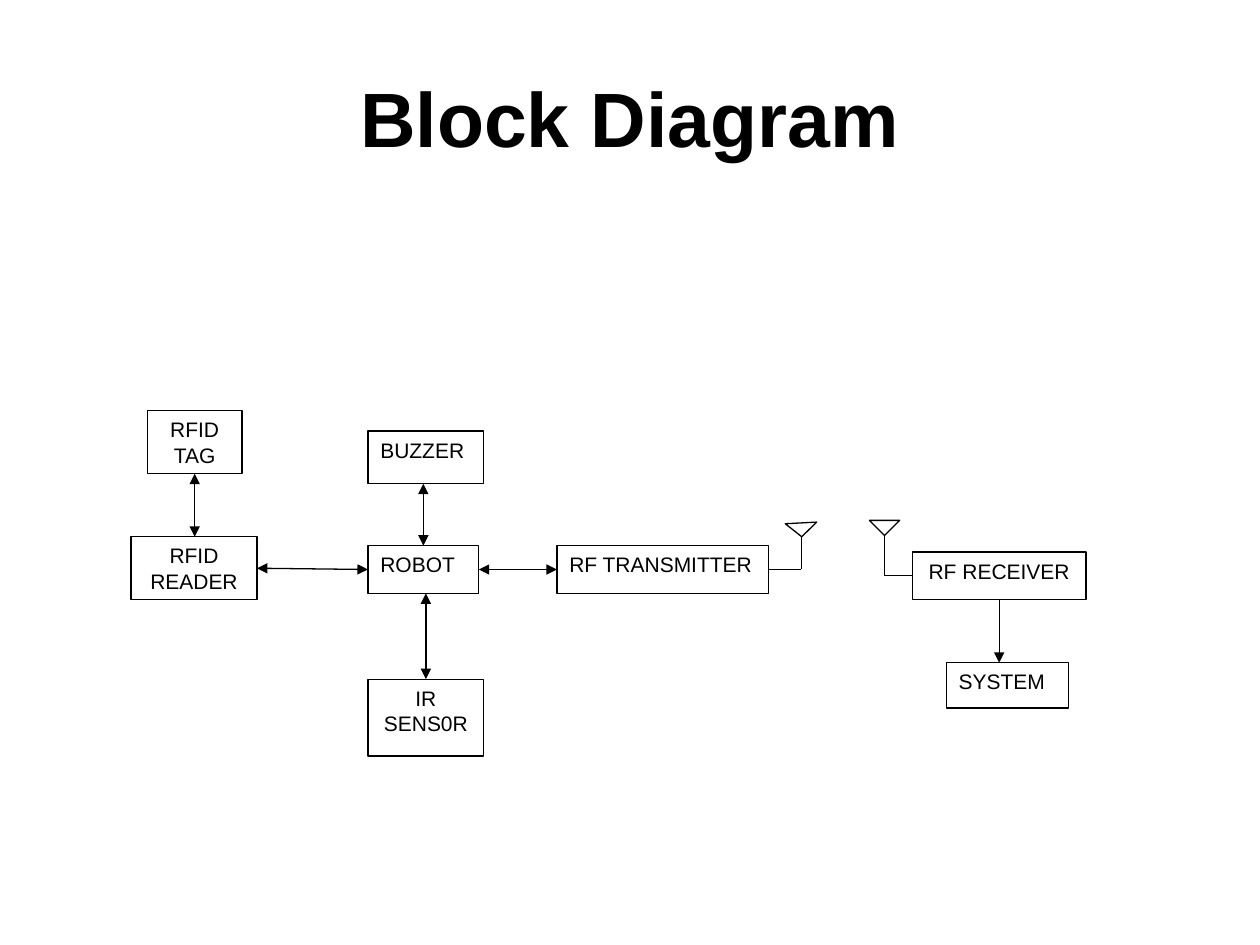
import pptx
import pptx.util
import pptx.dml.color
import pptx.enum.shapes
import pptx.enum.text
import pptx.oxml
import pptx.oxml.ns

COLORS = {"ink": "000000", "paper": "FFFFFF"}
FONT = "Arial"
COLUMNS, ROWS = 100, 75
ALIGN = pptx.enum.text.PP_ALIGN
SHAPE = pptx.enum.shapes.MSO_SHAPE

deck = pptx.Presentation()
deck.slide_width, deck.slide_height = pptx.util.Inches(10), pptx.util.Inches(7.5)
CELL_W, CELL_H = deck.slide_width / COLUMNS, deck.slide_height / ROWS


def emu(column, row):
    """Turn a grid position or size into slide units."""
    return round(column * CELL_W), round(row * CELL_H)


def rgb(name):
    """Look up a colour."""
    return pptx.dml.color.RGBColor.from_string(COLORS[name])


def write(frame, text, size=12, bold=False, align=ALIGN.LEFT,
          anchor=pptx.enum.text.MSO_ANCHOR.TOP):
    """Fill a text frame, one paragraph for each line of text."""
    frame.text = text
    frame.word_wrap = True
    frame.vertical_anchor = anchor
    for paragraph in frame.paragraphs:
        paragraph.alignment = align
        font = paragraph.runs[0].font
        font.name, font.size, font.bold = FONT, pptx.util.Pt(size), bold
        font.color.rgb = rgb("ink")


def outlined(slide, kind, left, top, width, height):
    """Draw a white preset shape with a thin black outline."""
    shape = slide.shapes.add_shape(kind, *emu(left, top), *emu(width, height))
    shape.shadow.inherit = False
    shape.fill.solid()
    shape.fill.fore_color.rgb = rgb("paper")
    shape.line.color.rgb = rgb("ink")
    shape.line.width = pptx.util.Pt(0.75)
    return shape


def line(slide, start, end, heads=()):
    """Draw a thin line with arrowheads at the named ends."""
    connector = slide.shapes.add_connector(
        pptx.enum.shapes.MSO_CONNECTOR.STRAIGHT, *emu(*start), *emu(*end))
    connector.line.color.rgb = rgb("ink")
    connector.line.width = pptx.util.Pt(0.75)
    outline = connector.line._get_or_add_ln()
    for head in heads:
        pptx.oxml.ns.qn("a:" + head)
        outline.append(pptx.oxml.parse_xml(
            f'<a:{head} {pptx.oxml.ns.nsdecls("a")} type="triangle"/>'))
    connector._element.spPr.append(pptx.oxml.parse_xml(
        f'<a:effectLst {pptx.oxml.ns.nsdecls("a")}/>'))


def antenna(slide, start, mast, top, width, height, turn):
    """Draw a lead from a block, a mast and the inverted triangle on it."""
    foot = (mast, start[1])
    line(slide, start, foot)
    line(slide, foot, (mast, top + height))
    dish = outlined(slide, SHAPE.ISOSCELES_TRIANGLE,
                    mast - width / 2, top, width, height)
    dish.rotation = turn


def heading(slide, left, top, width, height):
    """Place the slide title in its box."""
    title = slide.shapes.title
    title.left, title.top = emu(left, top)
    title.width, title.height = emu(width, height)
    write(title.text_frame, "Block Diagram", size=44, bold=True,
          align=ALIGN.CENTER, anchor=pptx.enum.text.MSO_ANCHOR.MIDDLE)


def block_diagram(slide, left, top):
    """Draw the blocks, their links and the antennas from a top left corner."""
    blocks = {
        "reader": ("RFID READER", ALIGN.CENTER, 0, 10, 10, 5),
        "robot": ("ROBOT", ALIGN.LEFT, 18.8, 10.7, 8.8, 3.8),
        "sensor": ("IR\nSENS0R", ALIGN.CENTER, 18.8, 21.3, 9.2, 6.1),
        "tag": ("RFID TAG", ALIGN.CENTER, 1.3, 0, 7.5, 5),
        "transmitter": ("RF TRANSMITTER", ALIGN.LEFT, 33.8, 10.7, 16.8, 3.8),
        "receiver": ("RF RECEIVER", ALIGN.CENTER, 62, 11.2, 13.8, 3.8),
        "system": ("SYSTEM", ALIGN.LEFT, 64.7, 20, 9.7, 3.6),
        "buzzer": ("BUZZER", ALIGN.LEFT, 18.8, 1.6, 9.2, 4.2),
    }
    edges = {}
    for name, (label, align, column, row, width, height) in blocks.items():
        x, y = left + column, top + row
        block = outlined(slide, SHAPE.RECTANGLE, x, y, width, height)
        write(block.text_frame, label, align=align)
        edges[name] = {"left": x, "right": x + width, "top": y, "bottom": y + height,
                       "middle": x + width / 2, "level": y + height / 2}

    both = ("headEnd", "tailEnd")
    for upper, lower, aligned, heads in (
            ("tag", "reader", "tag", both),
            ("buzzer", "robot", "robot", both),
            ("robot", "sensor", "sensor", both),
            ("receiver", "system", "receiver", ("tailEnd",))):
        x = edges[aligned]["middle"]
        line(slide, (x, edges[upper]["bottom"]), (x, edges[lower]["top"]), heads)
    for first, second in (("reader", "robot"), ("robot", "transmitter")):
        line(slide, (edges[first]["right"], edges[first]["level"]),
             (edges[second]["left"], edges[second]["level"]), both)

    sender, receiver = edges["transmitter"], edges["receiver"]
    antenna(slide, (sender["right"], sender["level"]), sender["right"] + 2.6,
            top + 8.9, 2.5, 1.1, 177)
    antenna(slide, (receiver["left"], receiver["level"]), receiver["left"] - 2.2,
            top + 8.7, 2.4, 1.2, 180)


diagram_slide = deck.slides.add_slide(deck.slide_layouts[5])
heading(diagram_slide, 5, 3, 90, 12.5)
block_diagram(diagram_slide, 10.4, 32.6)
deck.save("out.pptx")
